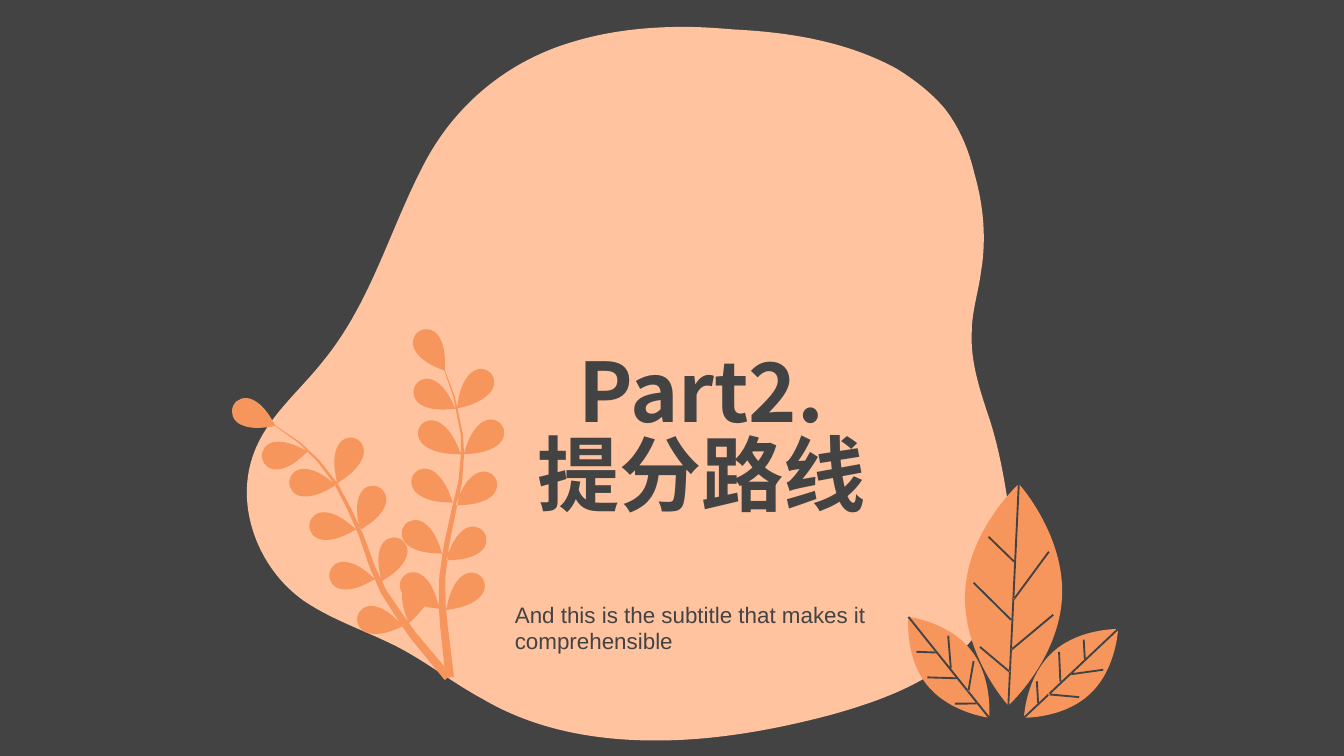
"""Build the section slide with a blob, two branches and three veined leaves."""
from math import hypot

from lxml import etree
from pptx import Presentation
from pptx import util as u
from pptx.dml import color
from pptx.enum import text
from pptx.oxml import ns

COLORS = {"dark": "434343", "peach": "FFC39F", "orange": "F7965C"}
FORMATS = {
    "title": {"name": "Noto Sans CJK SC", "size": u.Pt(44), "bold": True},
    "subtitle": {"name": "Arial", "size": u.Pt(12), "bold": False},
}
PARAGRAPHS = {
    "title": {"alignment": text.PP_ALIGN.CENTER, "line_spacing": 0.85, "space_before": u.Pt(0)},
    "subtitle": {"alignment": text.PP_ALIGN.LEFT, "line_spacing": 1.0, "space_before": u.Pt(0)},
}
ANCHORS = {"title": text.MSO_ANCHOR.BOTTOM, "subtitle": text.MSO_ANCHOR.TOP}

BLOB = [
    (366.5, 14.4), (346.3, 14.4), (326.2, 16.6), (307.4, 22.3),
    (272.2, 32.4), (243.4, 56.2), (226.8, 88.6),
    (208.8, 123.1), (198.7, 162), (173.5, 193),
    (160.6, 209.5), (143.3, 223.2), (136.1, 242.6),
    (125.3, 270.7), (138.2, 304.6), (162.7, 321.8),
    (178.6, 332.6), (197.3, 338.4), (213.8, 347),
    (229, 355), (242.6, 365.8), (258.5, 374.4),
    (286.6, 391), (319, 396.7), (351.4, 396.7),
    (383, 396.7), (414.7, 391), (445, 383),
    (475.9, 374.4), (508.3, 362.2), (526.3, 335.5),
    (540, 314.6), (542.2, 290.2), (539.3, 265),
    (537.1, 251.3), (534.2, 236.9), (529.9, 223.9),
    (524.9, 208.8), (519.8, 193.7), (520.6, 177.8),
    (520.6, 167), (524.2, 156.2), (525.6, 145.4),
    (528.5, 128.2), (527, 110.2), (522, 92.9),
    (519.1, 80.6), (514.1, 68.4), (506.2, 58.3),
    (499, 49.7), (489.6, 42.5), (480.2, 36.7),
    (453.6, 22.3), (423.4, 17.3), (393.1, 15.8),
    (384.5, 15.1), (375.8, 14.4), (366.5, 14.4),
]

TALL_STEM = [(238.3, 198.7), (243.4, 213), (247.5, 233), (247.8, 243), (246.6, 258),
             (243, 274), (239.2, 292), (237, 309), (236.9, 324), (237.8, 335), (241, 363)]
TALL_BUDS = [((238.3, 198.7), (224.5, 177.5)), ((244, 219), (222.5, 206.5)),
             ((247, 243.4), (225.2, 228.2)), ((242.6, 269.3), (221.8, 254)),
             ((236.9, 296.6), (216.7, 281.5)), ((235.4, 326.2), (216, 309)),
             ((239, 326.9), (257.8, 309)), ((239, 300.2), (259.2, 285)),
             ((244.1, 270.7), (265, 255.6)), ((248.4, 243.4), (268.6, 227.5))]
LOOSE_BUD = ((244.8, 218.9), (262.5, 199.5))
LOW_STEM = [(147.6, 228.2), (161, 237.6), (170.6, 247), (180, 259.2), (187.2, 272.9),
            (193.5, 286.8), (199.4, 303.5), (205.5, 317), (212.4, 327.5), (221, 340),
            (240, 362.9)]
LOW_BUDS = [((147.6, 228.2), (125, 217.4)), ((164.9, 241.9), (140.4, 245.2)),
            ((180, 259.9), (155, 258)), ((190.8, 283.7), (165.8, 281)),
            ((200.9, 310.3), (176.5, 307.5)), ((216, 335.5), (191.5, 330.5)),
            ((219, 334), (225, 308.5)), ((204.5, 311.5), (213.8, 288.5)),
            ((193, 284), (202.5, 260.8)), ((180.7, 259), (190.5, 235))]

LEAVES = [
    ((545.8, 259.2), (540.2, 378), 26,
     [((543.2, 300.8), (529.6, 287.6)), ((541.6, 332), (521.6, 312.2)),
      ((541, 360), (525, 346.6)), ((541.9, 348), (564.2, 329.4)),
      ((543.2, 321), (561.9, 295.6))]),
    ((486.7, 330.5), (529.9, 384.5), 15,
     [((501.5, 349.6), (491, 349.2)), ((512.4, 363.4), (496.8, 362.9)),
      ((523.4, 376.9), (511.6, 377)), ((518.8, 370.4), (521.6, 354.2)),
      ((509.4, 358), (508, 340.6))]),
    ((599, 337), (548.6, 384.5), 15,
     [((581.2, 353), (580.6, 342.7)), ((568.1, 365), (567.4, 349.2)),
      ((556.2, 376.6), (555.5, 365)), ((561.6, 372), (578.2, 373.5)),
      ((574, 361.2), (591.1, 358.8))]),
]
BUD_PROFILE = [(0, 0), (0.15, 0.35), (0.4, 1), (0.68, 1), (0.87, 1), (1, 0.55), (1, 0)]
LEAF_PROFILE = [(0, 0), (0, 0), (0.22, 1), (0.5, 1), (0.78, 1), (1, 0), (1, 0)]


def mirrored(start, end, half, profile):
    """Return a curved contour with the same profile on both sides of an axis."""
    dx, dy = end[0] - start[0], end[1] - start[1]
    scale = half / hypot(dx, dy)
    sides = profile + [(share, -side) for share, side in profile[-2::-1]]
    return True, [(start[0] + dx * share - dy * scale * side,
                   start[1] + dy * share + dx * scale * side) for share, side in sides]


def strip(points, thin, thick):
    """Return a straight-edged contour that widens from first to last point."""
    left, right = [], []
    last = len(points) - 1
    for index, point in enumerate(points):
        before, after = points[max(index - 1, 0)], points[min(index + 1, last)]
        dx, dy = after[0] - before[0], after[1] - before[1]
        half = (thin + (thick - thin) * index / last) / 2 / hypot(dx, dy)
        left.append((point[0] - dy * half, point[1] + dx * half))
        right.append((point[0] + dy * half, point[1] - dx * half))
    return False, left + right[::-1]


class SlideBuilder:
    """Hold the style and the current slide."""

    def __init__(self, presentation):
        self.slide = presentation.slides.add_slide(presentation.slide_layouts[0])
        self.title, self.subtitle = self.slide.placeholders
        fill = self.slide.background.fill
        fill.solid()
        fill.fore_color.rgb = self.color("dark")

    def color(self, name):
        """Return a named colour."""
        return color.RGBColor.from_string(COLORS[name])

    def outline(self, contours, fill):
        """Draw closed contours as one filled shape."""
        builder = None
        for _, contour in contours:
            points = [(u.Pt(x), u.Pt(y)) for x, y in contour]
            if builder is None:
                builder = self.slide.shapes.build_freeform(*points[0], scale=1.0)
            else:
                builder.move_to(*points[0])
            builder.add_line_segments(points[1:], close=False)
        shape = builder.convert_to_shape()
        self.bend(shape, contours)
        shape.shadow.inherit = False
        shape.fill.solid()
        shape.fill.fore_color.rgb = self.color(fill)
        shape.line.fill.background()

    def bend(self, shape, contours):
        """Close every contour and turn the lines of curved ones into cubic curves."""
        outline = next(shape._element.iter(ns.qn("a:path")))
        steps = iter(list(outline))
        for is_curved, points in contours:
            final = next(steps)
            lines = [next(steps) for _ in points[1:]]
            if is_curved:
                for first in range(0, len(lines), 3):
                    curve = etree.Element(ns.qn("a:cubicBezTo"))
                    lines[first].addprevious(curve)
                    for line in lines[first:first + 3]:
                        curve.append(line[0])
                        outline.remove(line)
                    final = curve
            else:
                final = lines[-1]
            final.addnext(etree.Element(ns.qn("a:close")))

    def words(self, shape, style, content, box):
        """Fill, move and format a placeholder above the shapes drawn so far."""
        for name, value in zip(("left", "top", "width", "height"), box):
            setattr(shape, name, u.Pt(value))
        frame = shape.text_frame
        frame.text = content
        settings = {"word_wrap": True, "auto_size": text.MSO_AUTO_SIZE.NONE,
                    "vertical_anchor": ANCHORS[style], "margin_left": 0,
                    "margin_top": 0, "margin_right": 0, "margin_bottom": 0}
        for name, value in settings.items():
            setattr(frame, name, value)
        paragraph = frame.paragraphs[0]
        for name, value in PARAGRAPHS[style].items():
            setattr(paragraph, name, value)
        for run in paragraph.runs:
            for name, value in FORMATS[style].items():
                setattr(run.font, name, value)
            run.font.color.rgb = self.color("dark")
            latin = run._r.get_or_add_rPr().find(ns.qn("a:latin"))
            east_asian = etree.Element(ns.qn("a:ea"), typeface=FORMATS[style]["name"])
            latin.addnext(east_asian)
        self.slide.shapes._spTree.append(shape._element)


def main():
    """Build and save the slide."""
    presentation = Presentation()
    presentation.slide_width, presentation.slide_height = u.Pt(720), u.Pt(405)
    builder = SlideBuilder(presentation)
    builder.outline([(True, BLOB)], "peach")
    for stem, buds in ((TALL_STEM, TALL_BUDS), (LOW_STEM, LOW_BUDS)):
        leaflets = [mirrored(*ends, 7.4, BUD_PROFILE) for ends in buds]
        builder.outline([strip(stem, 0.4, 4.5)] + leaflets, "orange")
    builder.outline([mirrored(*LOOSE_BUD, 7.4, BUD_PROFILE)], "orange")
    builder.words(builder.title, "title", "Part2.\v提分路线", (224.6, 231.8, 302.4, 48.2))
    builder.words(builder.subtitle, "subtitle",
                  "And this is the subtitle that makes it comprehensible",
                  (275.8, 321.8, 229, 28.1))
    for tip, base, half, twigs in LEAVES:
        builder.outline([mirrored(tip, base, half, LEAF_PROFILE)], "orange")
        builder.outline([strip(vein, 1, 1) for vein in [(tip, base)] + twigs], "dark")
    presentation.save("out.pptx")


if __name__ == "__main__":
    main()
